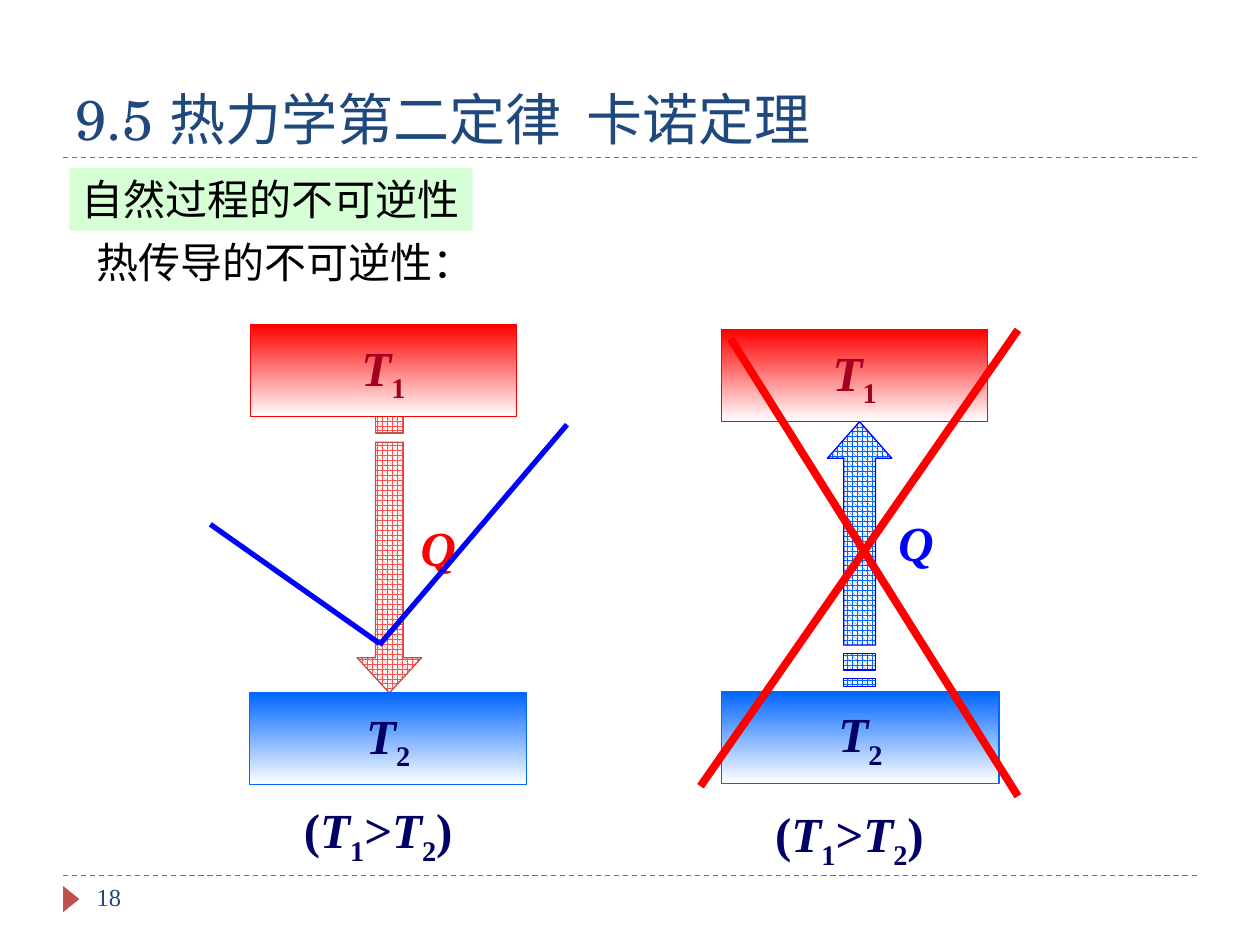
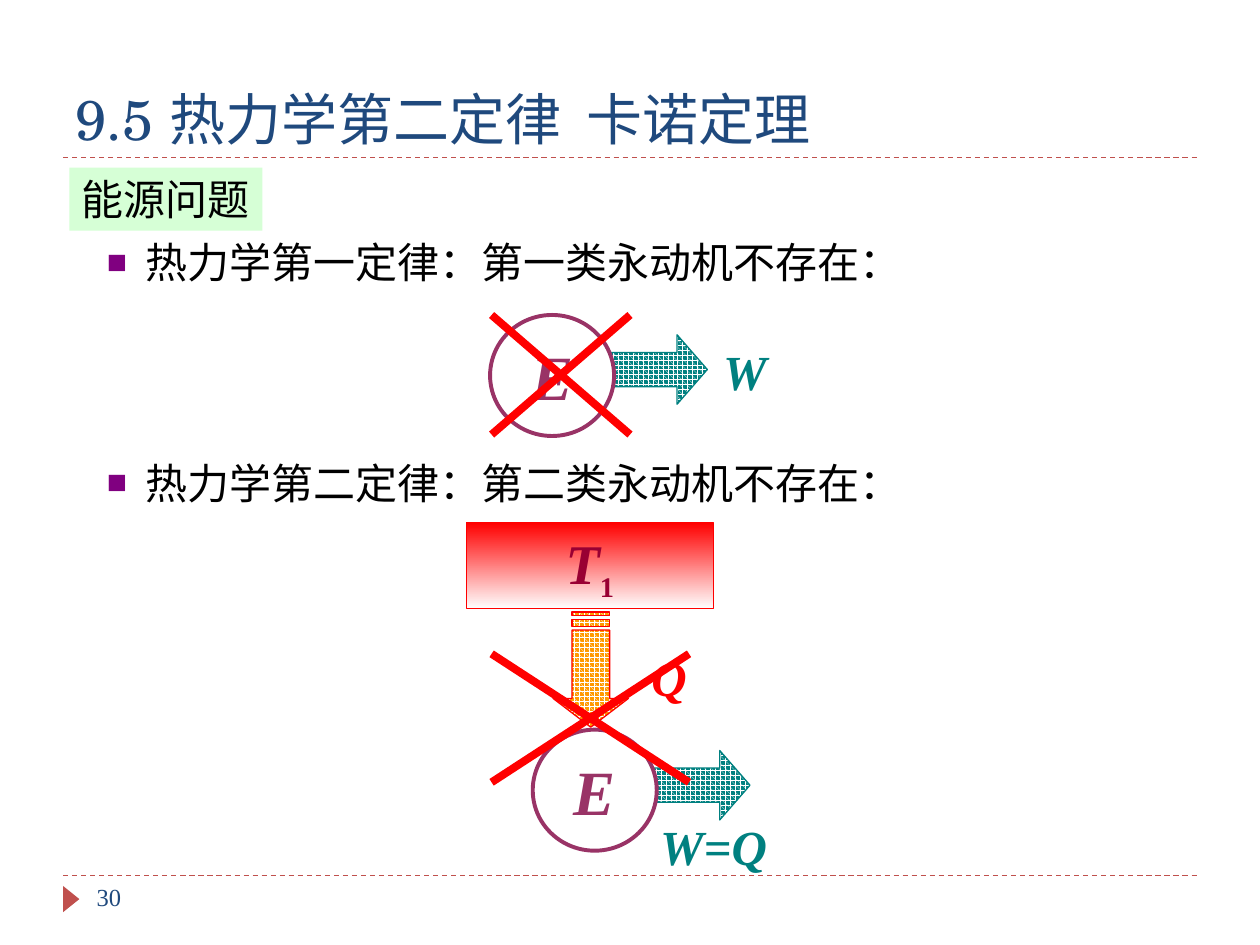
"""Build two slides on the second law of thermodynamics."""
from math import hypot

from lxml.etree import SubElement
from pptx import Presentation
from pptx.dml.color import RGBColor
from pptx.enum.dml import MSO_LINE, MSO_PATTERN
from pptx.enum.shapes import MSO_CONNECTOR, MSO_SHAPE
from pptx.enum.text import MSO_ANCHOR, MSO_AUTO_SIZE, PP_ALIGN
from pptx.oxml.ns import qn
from pptx.util import Cm, Pt

TITLE = "9.5 热力学第二定律  卡诺定理"
TITLE_FONT = "TeX Gyre Schola"
TEXT_FONT = "Times New Roman"
TITLE_ONLY, TWO_CONTENT = 5, 3

WHITE = RGBColor(0xFF, 0xFF, 0xFF)
BLACK = RGBColor(0, 0, 0)
NAVY = RGBColor(0x1F, 0x49, 0x7D)
BRICK = RGBColor(0xC0, 0x50, 0x4D)
MINT = RGBColor(0xCC, 0xFF, 0xCC)
PURPLE = RGBColor(0x80, 0, 0x80)
RED = RGBColor(0xFF, 0, 0)
DARK_RED = RGBColor(0xA5, 0, 0x21)
CRIMSON = RGBColor(0x99, 0, 0x33)
CORAL = RGBColor(0xFF, 0x50, 0x50)
ORANGE = RGBColor(0xFF, 0x99, 0)
BLUE = RGBColor(0, 0, 0xFF)
SKY = RGBColor(0, 0x66, 0xFF)
DARK_BLUE = RGBColor(0, 0, 0x66)
TEAL = RGBColor(0, 0x80, 0x80)
PLUM = RGBColor(0x99, 0x33, 0x66)


class SlideBuilder:
    """Hold the shared style and draw on the current page."""

    def __init__(self):
        self.deck = Presentation()
        self.deck.slide_width, self.deck.slide_height = Cm(25.4), Cm(19.05)
        self.page = None

    def new_page(self, layout, number, heading, heading_width):
        """Start a page with its title, rules, number and heading."""
        self.page = self.deck.slides.add_slide(self.deck.slide_layouts[layout])
        for y in (17.65, 3.18):
            self.line((1.27, y), (24.13, y), BRICK, 0.75, MSO_LINE.DASH)
        marker = self.shape(MSO_SHAPE.ISOSCELES_TRIANGLE, 1.17, 17.96, 0.53, 0.33, BRICK)
        marker.rotation = 90
        title = self.page.shapes.title
        self.place(title, 1.27, 0.64, 22.86, 2.54)
        title.text_frame.vertical_anchor = MSO_ANCHOR.BOTTOM
        self.fill_text(title, TITLE, 32, NAVY, TITLE_FONT)
        self.text(str(number), 1.7, 17.65, 5.51, 14, NAVY)
        self.heading(heading, heading_width)

    def place(self, box, left, top, width, height):
        """Move and size a box."""
        box.left, box.top, box.width, box.height = map(Cm, (left, top, width, height))

    def fill_text(self, box, text, size, color, font=TEXT_FONT):
        """Fill a box with one left-aligned paragraph."""
        box.text_frame.auto_size = MSO_AUTO_SIZE.NONE
        box.text_frame.text = text
        para = box.text_frame.paragraphs[0]
        para.alignment = PP_ALIGN.LEFT
        para.space_before = Pt(0)
        for span in para.runs:
            span.font.name, span.font.size = font, Pt(size)
            span.font.color.rgb = color

    def fill_symbols(self, box, text, color, size=28, align=PP_ALIGN.CENTER):
        """Fill a box with bold symbols, italic letters and lowered digits."""
        para = box.text_frame.paragraphs[0]
        para.alignment = align
        for symbol in text:
            span = para.add_run()
            span.text = symbol
            span.font.name, span.font.bold = TEXT_FONT, True
            span.font.italic = symbol not in "()>12"
            span.font.size = Pt(28 if symbol.isdigit() else size)
            span.font.color.rgb = color
            if symbol.isdigit():
                span.font._element.set("baseline", "-25000")

    def text_box(self, left, top, width, height):
        """Add an empty wrapping text box."""
        box = self.page.shapes.add_textbox(*map(Cm, (left, top, width, height)))
        box.text_frame.word_wrap = True
        return box

    def text(self, text, left, top, width, size=24, color=BLACK):
        """Add plain text."""
        self.fill_text(self.text_box(left, top, width, 1.27), text, size, color)

    def symbols(self, text, left, top, width, color, align=PP_ALIGN.LEFT):
        """Add a label made of symbols."""
        box = self.text_box(left, top, width, 1.45)
        self.fill_symbols(box, text, color, align=align)

    def shape(self, kind, left, top, width, height, fill=None):
        """Add an outline-free preset shape."""
        box = self.page.shapes.add_shape(kind, *map(Cm, (left, top, width, height)))
        box.shadow.inherit = False
        box.line.fill.background()
        box.text_frame.word_wrap = False
        box.text_frame.vertical_anchor = MSO_ANCHOR.MIDDLE
        if fill is not None:
            box.fill.solid()
            box.fill.fore_color.rgb = fill
        return box

    def outline(self, box, color, width):
        """Draw the outline of a shape."""
        box.line.color.rgb = color
        box.line.width = Pt(width)

    def heading(self, text, width):
        """Add the translucent heading band."""
        band = self.shape(MSO_SHAPE.RECTANGLE, 1.4, 3.38, width, 1.27, MINT)
        color = band._element.spPr.find(qn("a:solidFill"))[0]
        SubElement(color, qn("a:alpha"), val="80000")
        self.fill_text(band, text, 24, BLACK)

    def bullet(self, index, text, top):
        """Fill a body placeholder with one bulleted line."""
        box = self.page.placeholders[index]
        self.place(box, 1.9, top, 20.8, 1.27)
        self.fill_text(box, text, 24, BLACK)
        properties = box.text_frame.paragraphs[0]._p.get_or_add_pPr()
        properties.set("marL", str(Cm(0.78)))
        properties.set("indent", str(-Cm(0.78)))
        color = SubElement(properties, qn("a:buClr"))
        SubElement(color, qn("a:srgbClr"), val=str(PURPLE))
        SubElement(properties, qn("a:buSzPct"), val="80000")
        SubElement(properties, qn("a:buFont"), typeface=TEXT_FONT)
        SubElement(properties, qn("a:buChar"), char="■")

    def reservoir(self, text, left, top, width, height, fill, color, size=28):
        """Add a heat reservoir that fades to white."""
        box = self.shape(MSO_SHAPE.RECTANGLE, left, top, width, height)
        box.fill.gradient()
        box.fill.gradient_angle = 270
        for stop, shade, position in zip(box.fill.gradient_stops, (fill, WHITE), (0, 1)):
            stop.color.rgb, stop.position = shade, position
        self.outline(box, fill, 0.75)
        self.fill_symbols(box, text, color, size)

    def engine(self, left, top):
        """Add the circle of a heat engine."""
        circle = self.shape(MSO_SHAPE.OVAL, left, top, 2.5, 2.44, WHITE)
        self.outline(circle, PLUM, 2.25)
        self.fill_symbols(circle, "E", PLUM, 36)

    def striped_arrow(self, tail, tip, breadth, shaft, head, front, back, color):
        """Add a patterned arrow with two stripes at its tail."""
        length = hypot(tip[0] - tail[0], tip[1] - tail[1])
        along_x, along_y = ((end - start) / length for start, end in zip(tail, tip))
        unit, half, side, neck = length / 32, breadth / 2, shaft / 2, length - head

        def point(along, across):
            """Turn arrow coordinates into page coordinates."""
            return (Cm(tail[0] + along * along_x - across * along_y),
                    Cm(tail[1] + along * along_y + across * along_x))

        def stripe(start, end):
            """Give the corners of one stripe."""
            return [(start, -side), (end, -side), (end, side), (start, side)]

        body = [(5 * unit, -side), (neck, -side), (neck, -half), (length, 0),
                (neck, half), (neck, side), (5 * unit, side)]
        outlines = [[point(*corner) for corner in corners] for corners in
                    (body, stripe(2 * unit, 4 * unit), stripe(0, unit))]
        builder = self.page.shapes.build_freeform(*outlines[0][0])
        builder.add_line_segments(outlines[0][1:])
        for first, *rest in outlines[1:]:
            builder.move_to(*first)
            builder.add_line_segments(rest)
        arrow = builder.convert_to_shape()
        arrow.shadow.inherit = False
        arrow.fill.patterned()
        arrow.fill.pattern = MSO_PATTERN.SPHERE
        arrow.fill.fore_color.rgb, arrow.fill.back_color.rgb = front, back
        self.outline(arrow, color, 0.75)

    def line(self, start, end, color, width, dash=None):
        """Add a straight line."""
        connector = self.page.shapes.add_connector(
            MSO_CONNECTOR.STRAIGHT, *map(Cm, (*start, *end)))
        self.outline(connector, color, width)
        connector.line.dash_style = dash
        SubElement(connector._element.spPr, qn("a:effectLst"))

    def cross(self, left, top, right, bottom):
        """Strike out an area with two red lines."""
        self.line((right, top), (left, bottom), RED, 4.5)
        self.line((left, top), (right, bottom), RED, 4.5)

    def heat_flow(self, hot, cold, q_label, caption, q_color):
        """Add two reservoirs with the heat label and the condition."""
        self.reservoir("T1", *hot, 5.36, 1.85, RED, DARK_RED)
        self.reservoir("T2", *cold, 5.59, 1.85, SKY, DARK_BLUE)
        self.symbols("Q", *q_label, 1.68, q_color)
        self.symbols("(T1>T2)", *caption, 5.59, DARK_BLUE, PP_ALIGN.CENTER)

    def work_arrow(self, left, middle):
        """Add the arrow of the work done by an engine."""
        self.striped_arrow((left, middle), (left + 2.45, middle), 1.4, 0.69, 0.61,
                           WHITE, TEAL, TEAL)


def conduction_page(builder):
    """Draw the irreversibility of heat conduction."""
    builder.new_page(TITLE_ONLY, 18, "自然过程的不可逆性", 8.13)
    builder.text("热传导的不可逆性：", 1.7, 4.65, 8.6)
    builder.striped_arrow((7.85, 7.98), (7.85, 13.97), 1.3, 0.56, 0.71,
                          CORAL, WHITE, BRICK)
    builder.heat_flow((5.05, 6.55), (5.03, 13.97), (8.23, 10.31), (4.83, 16), RED)
    builder.striped_arrow((17.33, 13.84), (17.33, 8.5), 1.3, 0.64, 0.74,
                          SKY, WHITE, BLUE)
    builder.heat_flow((14.55, 6.65), (14.55, 13.94), (17.86, 10.21), (14.33, 16.08), BLUE)
    builder.line((20.52, 6.65), (14.12, 15.85), RED, 4.5)
    builder.line((14.73, 6.83), (20.52, 16.05), RED, 4.5)
    builder.line((4.24, 10.57), (7.65, 12.97), BLUE, 3)
    builder.line((7.65, 13), (11.43, 8.56), BLUE, 3)


def energy_page(builder):
    """Draw the two impossible perpetual motion machines."""
    builder.new_page(TWO_CONTENT, 30, "能源问题", 3.89)
    builder.bullet(1, "热力学第一定律：第一类永动机不存在：", 4.65)
    builder.bullet(2, "热力学第二定律：第二类永动机不存在：", 9.09)
    builder.work_arrow(11.81, 7.45)
    builder.symbols("W", 14.33, 6.76, 1.8, TEAL)
    builder.engine(9.88, 6.35)
    builder.cross(9.91, 6.35, 12.7, 8.76)
    builder.reservoir("T1", 9.4, 10.54, 4.98, 1.73, RED, CRIMSON, 32)
    builder.work_arrow(12.67, 15.83)
    builder.symbols("W=Q", 13.06, 16.33, 2.9, TEAL)
    builder.striped_arrow((11.91, 12.34), (11.91, 14.66), 1.52, 0.76, 0.58,
                          WHITE, ORANGE, RED)
    builder.symbols("Q", 12.88, 12.93, 1.5, RED)
    builder.engine(10.74, 14.71)
    builder.cross(9.91, 13.18, 13.89, 15.77)


def main():
    """Build and save the deck."""
    builder = SlideBuilder()
    conduction_page(builder)
    energy_page(builder)
    builder.deck.save("out.pptx")


if __name__ == "__main__":
    main()
